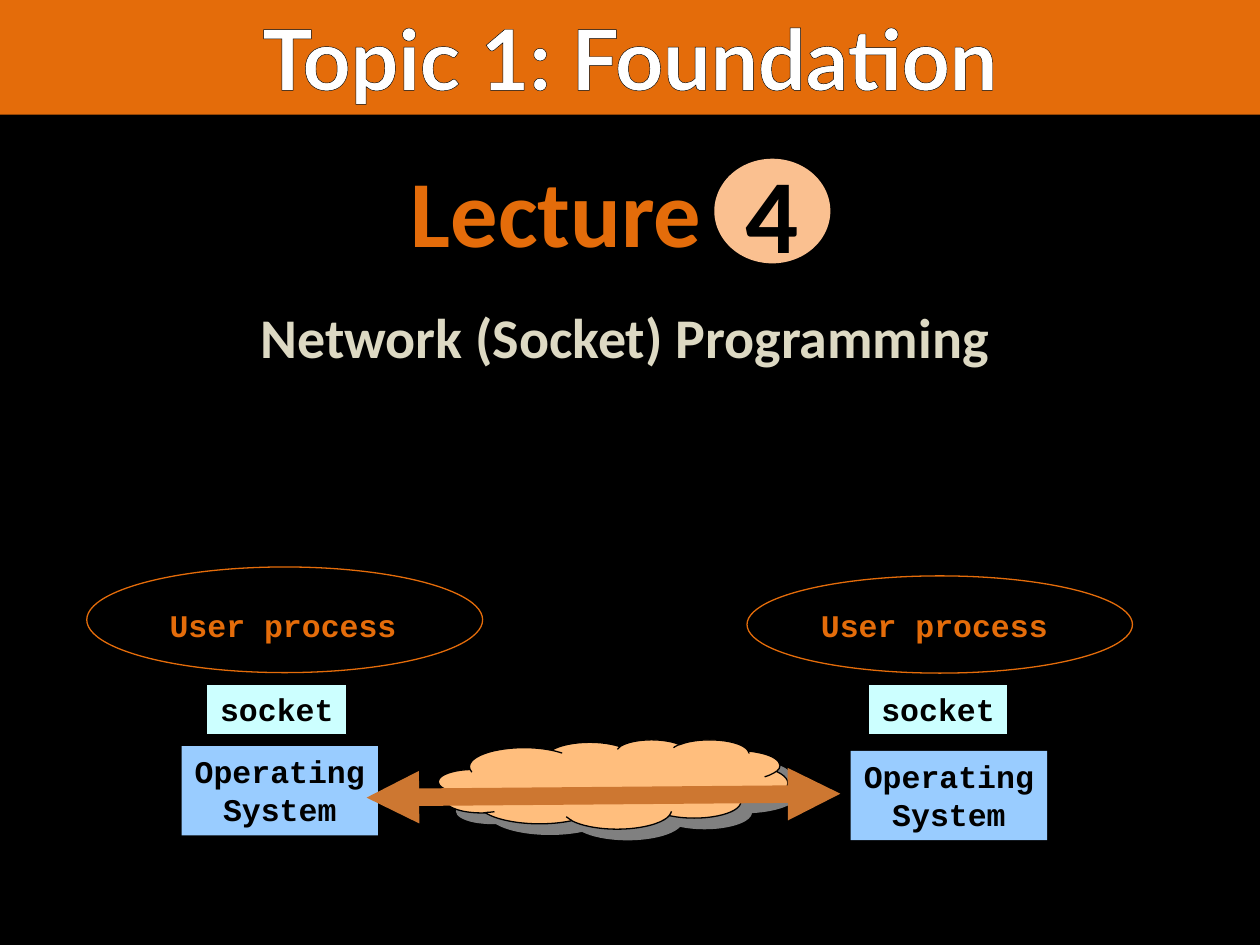
from dataclasses import dataclass
from typing import Any

from lxml.etree import SubElement
from pptx import Presentation
from pptx.dml.color import RGBColor
from pptx.enum.shapes import MSO_CONNECTOR as Link, MSO_SHAPE as Shape
from pptx.enum.text import MSO_ANCHOR as Anchor, MSO_AUTO_SIZE as Fit, PP_ALIGN as Align
from pptx.oxml import parse_xml
from pptx.oxml.ns import nsdecls, qn
from pptx.util import Cm, Pt


def color(value):
    return RGBColor.from_string(value)


@dataclass
class Painter:
    page: Any
    heading_font: str = "Calibri"
    code_font: str = "Courier New"
    orange: str = "E46C0A"
    black: str = "000000"

    def background(self, value):
        fill = self.page.background.fill
        fill.solid()
        fill.fore_color.rgb = color(value)

    def letter(self, box, text, size, ink, font=None, outline=None, anchor=Anchor.TOP, wrap=True):
        """Put centred bold text in a box; outline is the colour of the letter edges."""
        frame = box.text_frame
        frame.text = text
        frame.auto_size = Fit.NONE
        frame.word_wrap = wrap
        frame.vertical_anchor = anchor
        for para in frame.paragraphs:
            para.alignment = Align.CENTER
            para.space_before = Pt(0)
            for span in para.runs:
                span.font.name = font or self.heading_font
                span.font.size = Pt(size)
                span.font.bold = True
                span.font.color.rgb = color(ink)
                if outline:
                    span.font._element.insert(0, parse_xml(
                        f'<a:ln {nsdecls("a")} w="9525"><a:solidFill>'
                        f'<a:srgbClr val="{outline}"/></a:solidFill></a:ln>'))

    def placeholder(self, index, left, top, width, height, fill=None):
        box = self.page.placeholders[index]
        box.left, box.top, box.width, box.height = map(Cm, (left, top, width, height))
        if fill:
            box.fill.solid()
            box.fill.fore_color.rgb = color(fill)
        return box

    def label(self, left, top, width, height, text, size, ink, **style):
        box = self.page.shapes.add_textbox(*map(Cm, (left, top, width, height)))
        self.letter(box, text, size, ink, **style)

    def shape(self, kind, left, top, width, height, fill=None, line=None):
        box = self.page.shapes.add_shape(kind, *map(Cm, (left, top, width, height)))
        box.shadow.inherit = False
        if fill:
            box.fill.solid()
            box.fill.fore_color.rgb = color(fill)
        else:
            box.fill.background()
        if line:
            box.line.color.rgb = color(line)
            box.line.width = Pt(0.75)
        else:
            box.line.fill.background()
        return box

    def drop_shadow(self, box, value, distance):
        """Add a hard shadow to the lower right."""
        effects = box._element.spPr.find(qn("a:effectLst"))
        shadow = SubElement(effects, qn("a:outerShdw"), dist=str(Pt(distance)),
                            dir="2700000", algn="ctr", rotWithShape="0")
        SubElement(shadow, qn("a:srgbClr"), val=value)

    def double_arrow(self, start, end, value, width):
        arrow = self.page.shapes.add_connector(Link.STRAIGHT, *map(Cm, start + end))
        arrow.line.color.rgb = color(value)
        arrow.line.width = Pt(width)
        for tip in ("a:headEnd", "a:tailEnd"):
            SubElement(arrow.line._ln, qn(tip), type="triangle")
        SubElement(arrow._element.spPr, qn("a:effectLst"))

    def host(self, process, process_label, socket, system):
        """Draw one computer: user process above socket above operating system."""
        code = {"font": self.code_font, "wrap": False}
        self.shape(Shape.OVAL, *process, line=self.orange)
        self.label(*process_label, "User process", 18, self.orange, **code)
        box = self.shape(Shape.RECTANGLE, *socket, fill="CCFFFF", line=self.black)
        self.letter(box, "socket", 18, self.black, **code)
        box = self.shape(Shape.RECTANGLE, *system, fill="99CCFF")
        self.letter(box, "Operating\nSystem", 18, self.black, **code)


def main():
    deck = Presentation()
    deck.slide_width, deck.slide_height = Cm(25.4), Cm(19.05)
    painter = Painter(deck.slides.add_slide(deck.slide_layouts[0]))
    painter.background(painter.black)

    title = painter.placeholder(0, 0, 0, 25.4, 2.31, fill=painter.orange)
    painter.letter(title, "Topic 1: Foundation", 48, "FFFFFF", font="Lato", outline=painter.black)
    subtitle = painter.placeholder(1, 0, 5.97, 25.2, 1.63)
    painter.letter(subtitle, "Network (Socket) Programming", 32, "DDD9C3", outline=painter.orange)

    painter.label(0, 2.97, 22.43, 2.57, "Lecture", 54, painter.orange)
    number = painter.shape(Shape.OVAL, 14.4, 3.2, 2.34, 2.11, fill="FAC090")
    painter.letter(number, "4", 60, painter.black, anchor=Anchor.MIDDLE)

    cloud = painter.shape(Shape.CLOUD, 8.84, 14.91, 7.04, 1.8, fill="FFBE7D", line=painter.black)
    painter.drop_shadow(cloud, "808080", 8.5)

    painter.host(process=(1.75, 11.43, 7.98, 2.13), process_label=(3.15, 12.09, 5.11, 1.02),
                 socket=(4.17, 13.79, 2.82, 1.02), system=(3.66, 15.04, 3.96, 1.8))
    painter.host(process=(15.06, 11.61, 7.77, 1.96), process_label=(16.28, 12.09, 5.11, 1.02),
                 socket=(17.5, 13.79, 2.82, 1.02), system=(17.15, 15.14, 3.96, 1.8))
    painter.double_arrow((7.39, 16.08), (16.94, 16), "CD7731", 10)

    deck.save("out.pptx")


if __name__ == "__main__":
    main()
